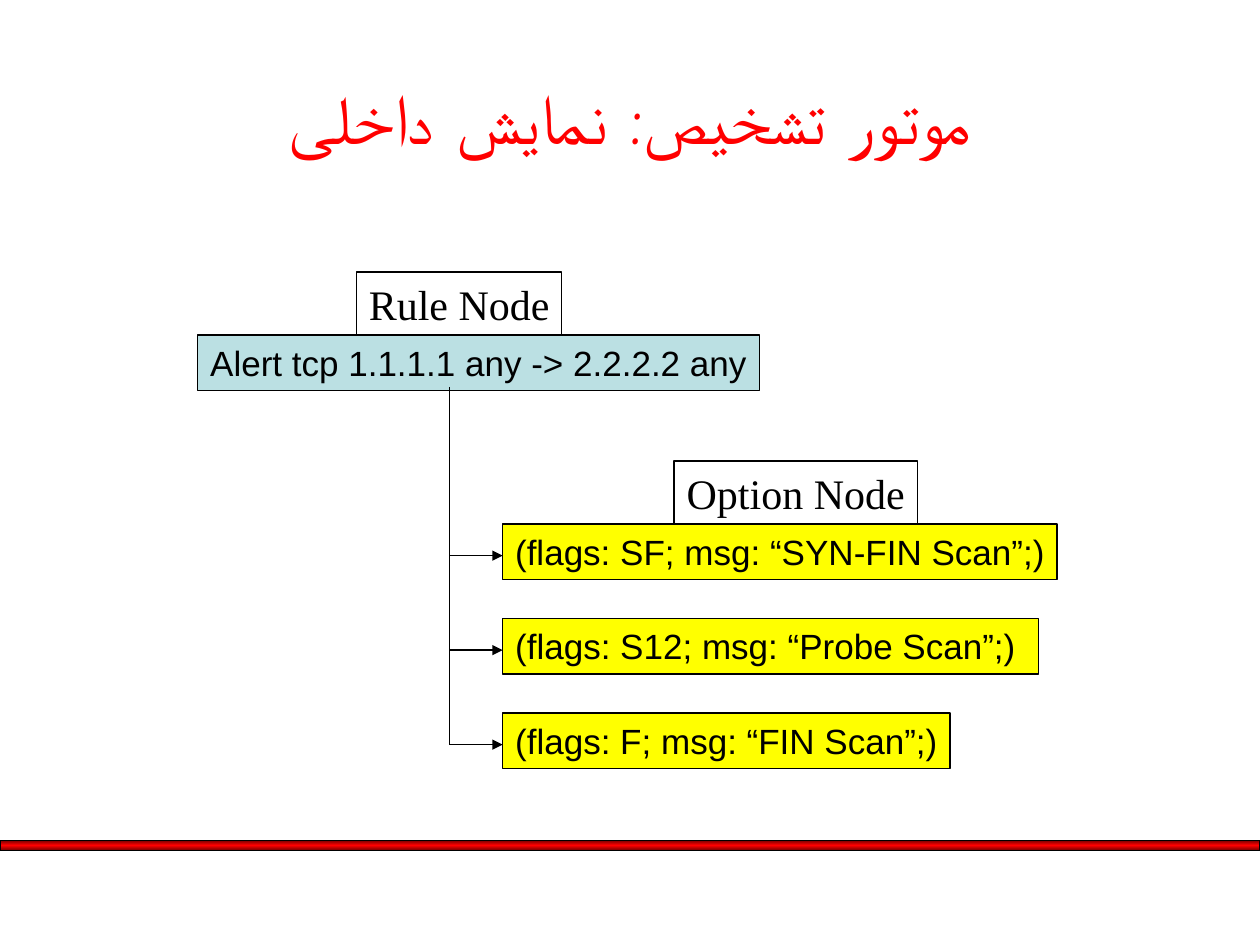
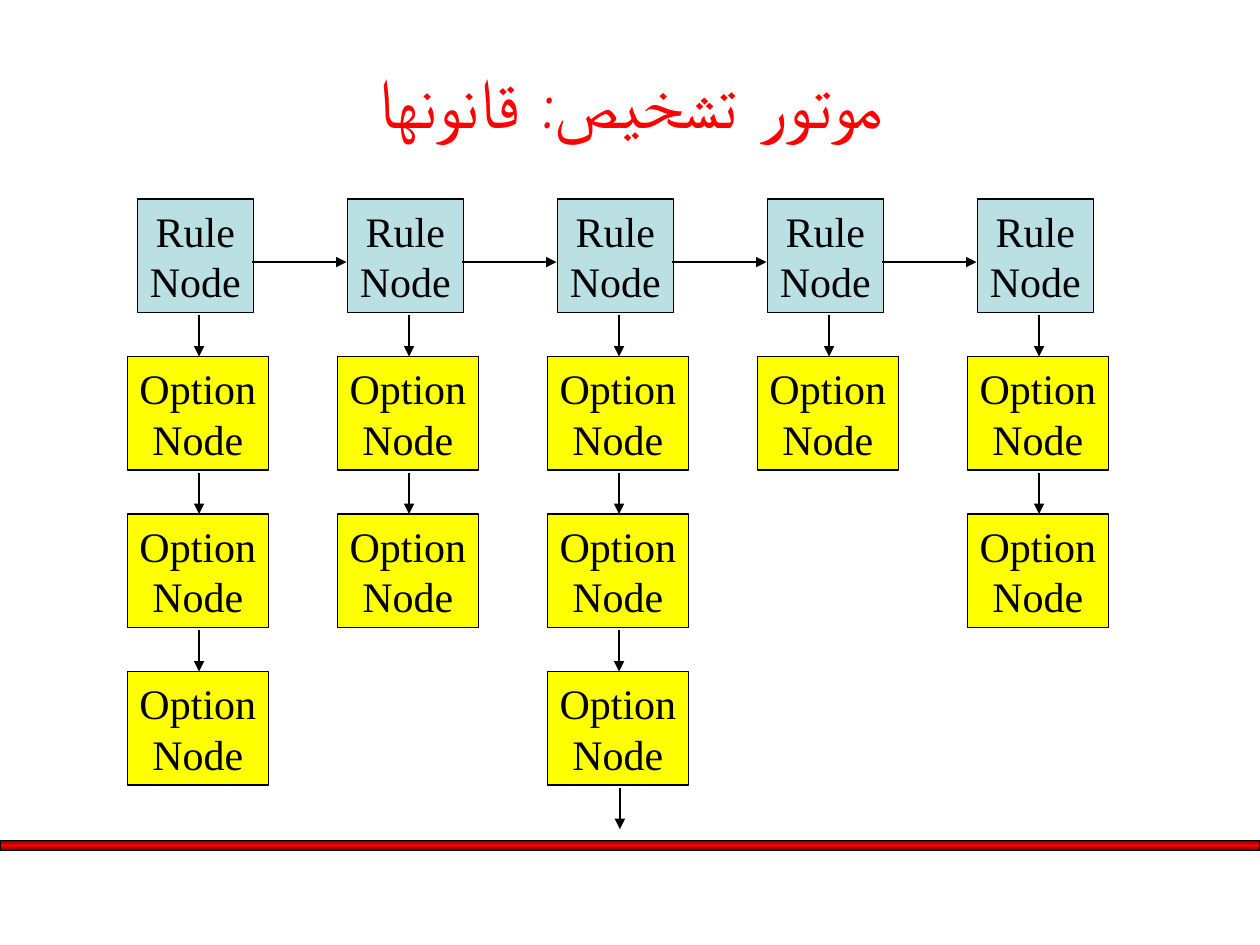
from copy import deepcopy

from lxml import etree
from pptx import Presentation
from pptx import util as u
from pptx.dml.color import RGBColor
from pptx.enum import shapes, text
from pptx.oxml.ns import qn

BLACK = RGBColor(0x00, 0x00, 0x00)
RED = RGBColor(0xFF, 0x00, 0x00)
DARK_RED = RGBColor(0x76, 0x00, 0x00)
RULE_BLUE = RGBColor(0xBB, 0xE0, 0xE3)
OPTION_YELLOW = RGBColor(0xFF, 0xFF, 0x00)
SERIF, SANS, TITLE_FONT = "Times New Roman", "Arial", "Comic Neue"
LINE_WIDTH = u.Pt(0.75)
CENTER, LEFT = text.PP_ALIGN.CENTER, text.PP_ALIGN.LEFT


def add_box(page, left, top, width, height, lines, fill=None, font=SERIF, size=24, align=CENTER):
    box = page.shapes.add_shape(shapes.MSO_SHAPE.RECTANGLE, u.Inches(left), u.Inches(top),
                                u.Inches(width), u.Inches(height))
    box.shadow.inherit = False
    if fill is None:
        box.fill.background()
    else:
        box.fill.solid()
        box.fill.fore_color.rgb = fill
    box.line.color.rgb = BLACK
    box.line.width = LINE_WIDTH
    frame = box.text_frame
    frame.word_wrap = False
    frame.auto_size = text.MSO_AUTO_SIZE.NONE
    frame.vertical_anchor = text.MSO_ANCHOR.TOP
    # Narrow side margins keep each line whole in its tight box
    frame.margin_left = u.Inches(0.1 if align == LEFT else 0.05)
    frame.margin_right = u.Inches(0 if align == LEFT else 0.05)
    for number, line in enumerate(lines):
        para = frame.add_paragraph() if number else frame.paragraphs[0]
        para.alignment = align
        span = para.add_run()
        span.text = line
        span.font.name = font
        span.font.size = u.Pt(size)
        span.font.color.rgb = BLACK


def add_line(page, x1, y1, x2, y2, arrow=True):
    line = page.shapes.add_connector(shapes.MSO_CONNECTOR.STRAIGHT, u.Inches(x1), u.Inches(y1),
                                     u.Inches(x2), u.Inches(y2))
    line.line.color.rgb = BLACK
    line.line.width = LINE_WIDTH
    if arrow:
        etree.SubElement(line.line._get_or_add_ln(), qn("a:tailEnd"), type="triangle")
    etree.SubElement(line._element.spPr, qn("a:effectLst"))


deck = Presentation()
deck.slide_width, deck.slide_height = u.Inches(10), u.Inches(7.5)

# Shared parts: red band and title
titles = [
    ("موتور تشخیص: نمایش داخلی", 0.5, 0.3, 9),
    ("موتور تشخیص: قانونها", 0.75, 0.17, 8.5),
]
pages = []
for title, left, top, width in titles:
    page = deck.slides.add_slide(deck.slide_layouts[6])
    pages.append(page)

    band = page.shapes.add_shape(shapes.MSO_SHAPE.RECTANGLE, 0, u.Inches(6.67),
                                 deck.slide_width, u.Inches(0.08))
    band.shadow.inherit = False
    band.line.color.rgb = BLACK
    band.line.width = LINE_WIDTH
    band.fill.gradient()
    band.fill.gradient_angle = 90
    stop_list = band._element.spPr.find(".//" + qn("a:gsLst"))
    stop_list.append(deepcopy(stop_list[-1]))
    for stop, position, color in zip(band.fill.gradient_stops, (0, 0.5, 1), (DARK_RED, RED, DARK_RED)):
        stop.position = position
        stop.color.rgb = color

    title_box = page.shapes.add_textbox(u.Inches(left), u.Inches(top), u.Inches(width), u.Inches(1.25))
    title_box.text_frame.word_wrap = True
    title_box.text_frame.vertical_anchor = text.MSO_ANCHOR.MIDDLE
    para = title_box.text_frame.paragraphs[0]
    para.alignment = CENTER
    para.space_before, para.space_after = u.Pt(12), u.Pt(3)
    para._p.get_or_add_pPr().set("rtl", "1")
    span = para.add_run()
    span.text = title
    span.font.name = TITLE_FONT
    span.font.size = u.Pt(40)
    span.font.color.rgb = RED
    # Persian letters take the complex-script font
    etree.SubElement(span._r.get_or_add_rPr(), qn("a:cs"), typeface=TITLE_FONT)

tree_page, chain_page = pages

# Slide 1: one rule node with its option nodes
add_box(tree_page, 1.57, 2.66, 4.46, 0.44, ["Alert tcp 1.1.1.1 any -> 2.2.2.2 any"],
        RULE_BLUE, SANS, 20, LEFT)
add_box(tree_page, 2.83, 2.16, 1.63, 0.5, ["Rule Node"])
add_box(tree_page, 5.35, 3.66, 1.93, 0.5, ["Option Node"])

options = [
    ("(flags: SF; msg: “SYN-FIN Scan”;)", 4.4),
    ("(flags: S12; msg: “Probe Scan”;)", 4.25),
    ("(flags: F; msg: “FIN Scan”;)", 3.55),
]
TRUNK_X, OPTION_X = 3.57, 3.99
add_line(tree_page, TRUNK_X, 3.07, TRUNK_X, 5.91, arrow=False)
for row, (option, width) in enumerate(options):
    top = 4.16 + 0.75 * row
    add_box(tree_page, OPTION_X, top, width, 0.44, [option], OPTION_YELLOW, SANS, 20, LEFT)
    add_line(tree_page, TRUNK_X, top + 0.25, OPTION_X, top + 0.25)

# Slide 2: chain of rule nodes, each with a column of option nodes
COLUMN_STEP, ROW_STEP = 5 / 3, 1.25
option_counts = [3, 2, 3, 1, 2]
for column, count in enumerate(option_counts):
    shift = COLUMN_STEP * column
    add_box(chain_page, 1.09 + shift, 1.58, 0.92, 0.9, ["Rule", "Node"], RULE_BLUE)
    if column < len(option_counts) - 1:
        add_line(chain_page, 2 + shift, 2.08, 2.75 + shift, 2.08)
    for row in range(count):
        drop = ROW_STEP * row
        add_line(chain_page, 1.58 + shift, 2.5 + drop, 1.58 + shift, 2.83 + drop)
        add_box(chain_page, 1.01 + shift, 2.83 + drop, 1.12, 0.9, ["Option", "Node"], OPTION_YELLOW)

# The third column continues
add_line(chain_page, 4.92, 6.25, 4.92, 6.58)

deck.save("out.pptx")
